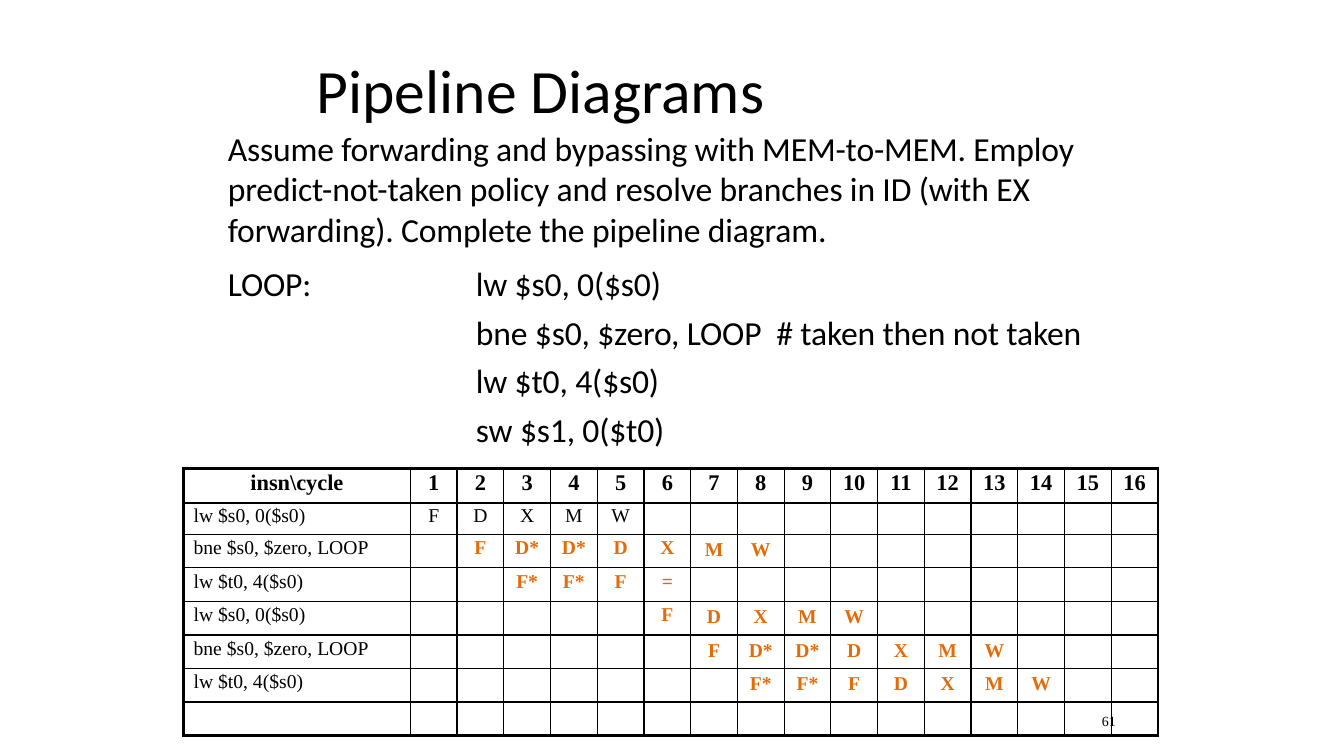
from lxml import etree
from pptx import Presentation
from pptx import util as u
from pptx.dml import color
from pptx.enum import text
from pptx.oxml import ns

BLACK, ORANGE = "000000", "E36C09"
SANS, SERIF = "Calibri", "Times New Roman"
CYCLES = 16
# Instruction, cycle it is fetched in, stages cycle by cycle
PIPELINE = [
    ("lw $s0, 0($s0)", 1, "F D X M W"),
    ("bne $s0, $zero, LOOP", 2, "F D* D* D X M W"),
    ("lw $t0, 4($s0)", 3, "F* F* F ="),
    ("lw $s0, 0($s0)", 6, "F D X M W"),
    ("bne $s0, $zero, LOOP", 7, "F D* D* D X M W"),
    ("lw $t0, 4($s0)", 8, "F* F* F D X M W"),
    ("", 1, ""),
]


def rgb(value):
    return color.RGBColor.from_string(value)


def add_span(para, words, size, face, ink=BLACK, bold=False, spacing=0):
    """Add one run; spacing is the letter spacing in points."""
    span = para.add_run()
    span.text = words
    span.font.size = u.Pt(size)
    span.font.name = face
    span.font.bold = bold
    span.font.color.rgb = rgb(ink)
    if spacing:
        span.font._element.set("spc", str(round(spacing * 100)))


def prepare_frame(frame, top_margin=0.01):
    frame.word_wrap = True
    frame.vertical_anchor = text.MSO_ANCHOR.TOP
    frame.margin_left = frame.margin_right = frame.margin_bottom = 0
    frame.margin_top = u.Inches(top_margin)


def add_text(page, box, lines, size=24, face=SANS, gap=0, spacing=-0.1, tab=None):
    """Write lines as paragraphs; gap in points between them, tab stop in inches."""
    frame = page.shapes.add_textbox(*map(u.Inches, box)).text_frame
    prepare_frame(frame)
    for index, line in enumerate(lines):
        para = frame.paragraphs[0] if index == 0 else frame.add_paragraph()
        if index:
            para.space_before = u.Pt(gap)
        if tab and "\t" in line:
            stops = etree.SubElement(para._p.get_or_add_pPr(), ns.qn("a:tabLst"))
            etree.SubElement(stops, ns.qn("a:tab"), pos=str(u.Inches(tab)), algn="l")
        add_span(para, line, size, face, spacing=spacing)


def set_title(page, box, words):
    title = page.shapes.title
    title.left, title.top, title.width, title.height = map(u.Inches, box)
    prepare_frame(title.text_frame)
    para = title.text_frame.paragraphs[0]
    para.alignment = text.PP_ALIGN.LEFT
    add_span(para, words, 44, SANS)


def add_code(page, box):
    left, top, width, height = box
    indent = 2.46
    add_text(page, (left, top, 0.9, 0.43), ["LOOP:"])
    add_text(page, (left + indent, top, width - indent, height), [
        "lw $s0, 0($s0)",
        "bne $s0, $zero, LOOP\t# taken then not taken",
        "lw $t0, 4($s0)",
        "sw $s1, 0($t0)",
    ], gap=5.8, tab=2.98)


def set_borders(cell, widths):
    """Draw the left, right, top and bottom borders, widths in points."""
    props = cell._tc.get_or_add_tcPr()
    for side, width in zip("LRTB", widths):
        line = etree.SubElement(props, ns.qn(f"a:ln{side}"), w=str(u.Pt(width)))
        fill = etree.SubElement(line, ns.qn("a:solidFill"))
        etree.SubElement(fill, ns.qn("a:srgbClr"), val=BLACK)


def fill_cell(cell, words, top_margin, centred, **style):
    cell.margin_left = u.Inches(0 if centred else 0.1)
    cell.margin_right = cell.margin_bottom = 0
    cell.margin_top = u.Inches(top_margin if words else 0)
    para = cell.text_frame.paragraphs[0]
    if centred:
        para.alignment = text.PP_ALIGN.CENTER
    if words:
        add_span(para, words, face=SERIF, **style)


def add_pipeline(page, box):
    rows, columns = len(PIPELINE) + 1, CYCLES + 1
    frame = page.shapes.add_table(rows, columns, *map(u.Inches, box))
    table = frame.table
    table.first_row = table.horz_banding = False
    label_width, top_heights = 2.25, (0.34, 0.31)
    cycle_width = (box[2] - label_width) / CYCLES
    row_height = (box[3] - sum(top_heights)) / (rows - 2)
    for index, column in enumerate(table.columns):
        column.width = u.Inches(cycle_width if index else label_width)
    for index, row in enumerate(table.rows):
        row.height = u.Inches(top_heights[index] if index < 2 else row_height)

    for row in range(rows):
        for cycle in range(columns):
            cell = table.cell(row, cycle)
            edges = (cycle == 0, cycle == CYCLES, row == 0, row == rows - 1)
            set_borders(cell, [2.25 if edge else 1 for edge in edges])
            cell.fill.background()
            if row == 0:
                heading = str(cycle) if cycle else "insn\\cycle"
                fill_cell(cell, heading, 0.02, True, size=16, bold=True)
                continue
            label, start, stages = PIPELINE[row - 1]
            margin = 0.02 if row == 1 else 0.03
            if cycle == 0:
                fill_cell(cell, label, margin, False, size=14)
                continue
            stage = dict(enumerate(stages.split(), start)).get(cycle, "")
            answer = row > 1
            fill_cell(cell, stage, 0.05 if cycle > 6 else margin, True, size=14,
                      bold=answer, ink=ORANGE if answer else BLACK)


def build_slide(deck):
    page = deck.slides.add_slide(deck.slide_layouts[5])
    set_title(page, (3.14, 0.51, 5.97, 0.76), "Pipeline Diagrams")
    add_pipeline(page, (1.82, 4.65, 9.67, 2.65))
    add_text(page, (2.26, 1.26, 8.5, 1.23), [
        "Assume forwarding and bypassing with MEM-to-MEM. Employ "
        "predict-not-taken policy and resolve branches in ID (with EX "
        "forwarding). Complete the pipeline diagram."])
    add_code(page, (2.26, 2.6, 8.81, 1.88))
    add_text(page, (10.93, 7.06, 0.2, 0.17), ["61"], size=10, face=SERIF, spacing=0)


def main():
    deck = Presentation()
    deck.slide_width, deck.slide_height = u.Inches(13.33), u.Inches(7.5)
    build_slide(deck)
    deck.save("out.pptx")


if __name__ == "__main__":
    main()
